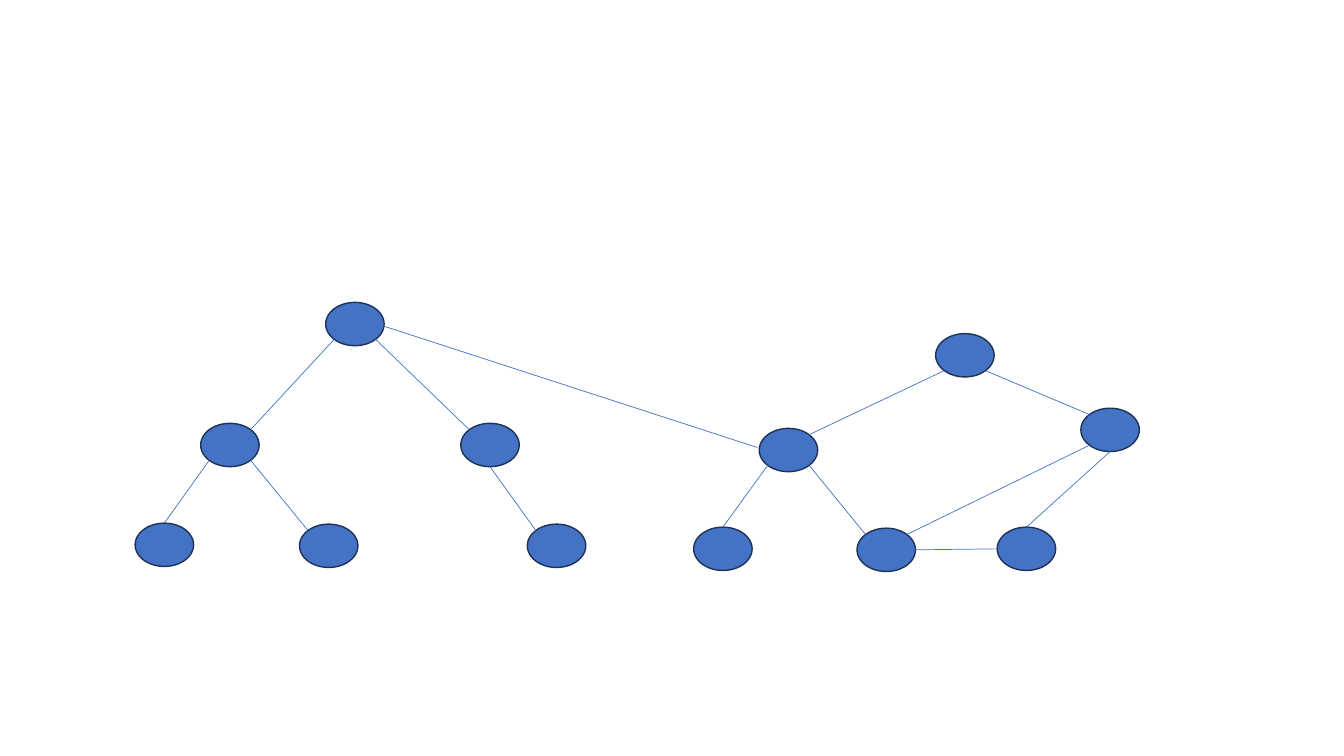
"""Draw two linked graphs of blue nodes on one slide."""
from pptx import Presentation
from pptx.dml.color import RGBColor
from pptx.enum.shapes import MSO_CONNECTOR, MSO_SHAPE
from pptx.oxml.ns import qn
from pptx.util import Pt
from lxml import etree

OVAL = MSO_SHAPE.OVAL
LINE = MSO_CONNECTOR.STRAIGHT
PX = 9144
WIDE, HIGH = 58, 43
BLUE, NAVY = "4472C4", "1E3256"
DIAG = 0.71

SITES = {
    "N": (0, -1), "S": (0, 1), "W": (-1, 0), "E": (1, 0),
    "NW": (-DIAG, -DIAG), "NE": (DIAG, -DIAG),
    "SW": (-DIAG, DIAG), "SE": (DIAG, DIAG),
    "ESE": (0.93, 0.07), "WNW": (-1.07, -0.12),
}
NODES = {
    "root": (323, 300), "left": (199, 420), "leaf a": (134, 519),
    "leaf b": (297, 520), "leaf c": (523, 520), "right": (457, 420),
    "peak": (928, 331), "hub": (753, 425), "leaf d": (688, 523),
    "base": (850, 524), "low": (989, 523), "far": (1072, 405),
}
EDGES = [
    ("root", "SW", "left", "NE"), ("left", "SW", "leaf a", "N"),
    ("left", "SE", "leaf b", "NW"), ("root", "SE", "right", "NW"),
    ("right", "S", "leaf c", "NW"), ("leaf d", "N", "hub", "SW"),
    ("hub", "SE", "base", "NW"), ("root", "ESE", "hub", "WNW"),
    ("hub", "NE", "peak", "SW"), ("peak", "SE", "far", "NW"),
    ("base", "NE", "far", "SW"), ("base", "E", "low", "W"),
    ("low", "N", "far", "S"),
]


def tint(hue):
    """Turn a hex string into a colour."""
    return RGBColor.from_string(hue)


def rim(node, site):
    """Find the point on a node's rim, in EMU."""
    left, top = NODES[node]
    dx, dy = SITES[site]
    return (round((left + WIDE / 2 * (1 + dx)) * PX),
            round((top + HIGH / 2 * (1 + dy)) * PX))


deck = Presentation()
deck.slide_width, deck.slide_height = 1333 * PX, 750 * PX
slide = deck.slides.add_slide(deck.slide_layouts[6])

for left, top in NODES.values():
    node = slide.shapes.add_shape(OVAL, left * PX, top * PX, WIDE * PX, HIGH * PX)
    node.shadow.inherit = False
    node.fill.solid()
    node.fill.fore_color.rgb = tint(BLUE)
    node.line.color.rgb = tint(NAVY)
    node.line.width = Pt(1)

for start, out, end, into in EDGES:
    edge = slide.shapes.add_connector(LINE, *rim(start, out), *rim(end, into))
    edge.line.color.rgb = tint(BLUE)
    edge.line.width = Pt(0.5)
    etree.SubElement(edge._element.spPr, qn("a:effectLst"))

deck.save("out.pptx")
